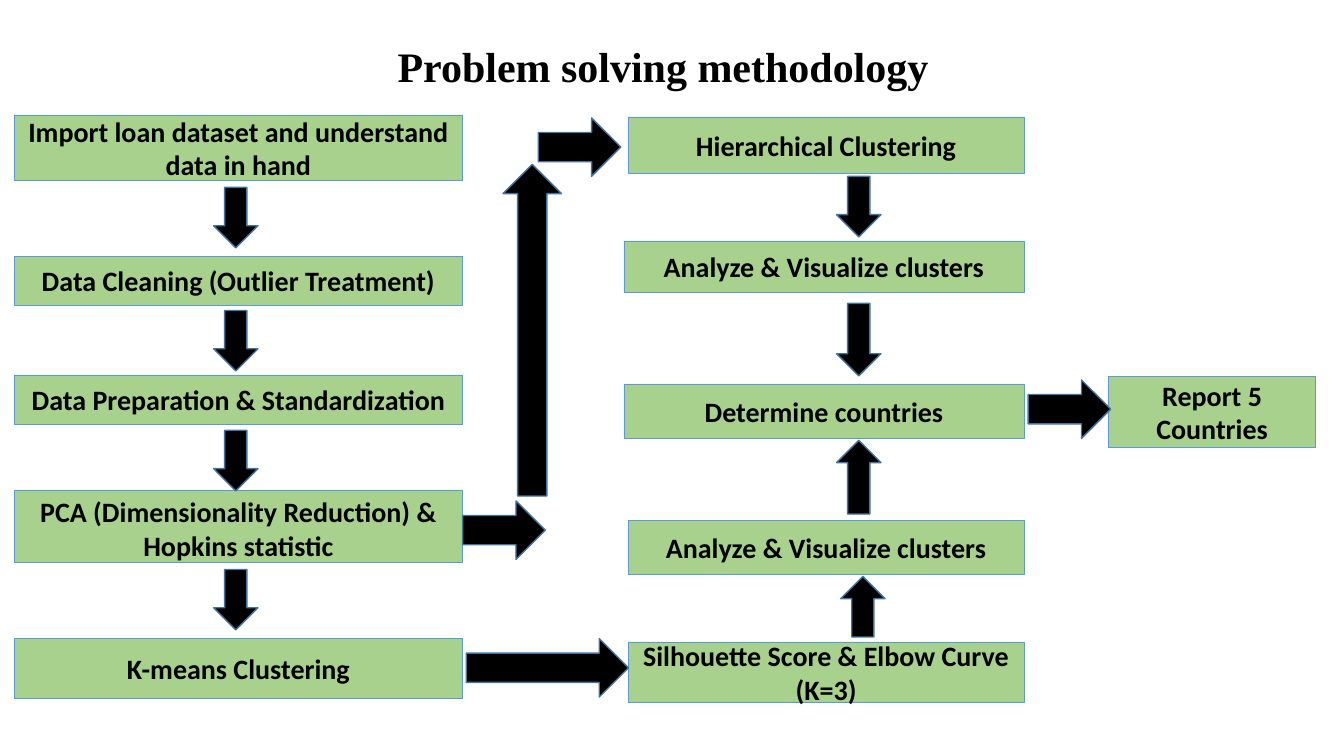
"""Build the problem solving methodology flowchart slide."""
from pptx import Presentation
from pptx import util as u
from pptx.dml import color
from pptx.enum import shapes, text

COLORS = {"box": "A9D18E", "box_line": "5B9BD5", "arrow": "000000",
          "arrow_line": "43739E", "text": "000000"}
MSO = shapes.MSO_SHAPE
ANCHOR = text.MSO_ANCHOR
ALIGN = text.PP_ALIGN


def rgb(name):
    return color.RGBColor.from_string(COLORS[name])


def write(sp, content, font="Calibri", size=20, align=ALIGN.CENTER,
          anchor=ANCHOR.MIDDLE, left=7.2, spacing=1.0):
    tf = sp.text_frame
    tf.word_wrap = True
    tf.vertical_anchor = anchor
    tf.margin_left = u.Pt(left)
    p = tf.paragraphs[0]
    p.alignment = align
    p.line_spacing = spacing
    r = p.add_run()
    r.text = content
    r.font.name = font
    r.font.size = u.Pt(size)
    r.font.bold = True
    r.font.color.rgb = rgb("text")


prs = Presentation()
prs.slide_width, prs.slide_height = u.Pt(960), u.Pt(540)
s = prs.slides.add_slide(prs.slide_layouts[6])

title = s.shapes.add_textbox(u.Pt(269.3), u.Pt(15.1), u.Pt(416.9), u.Pt(67.7))
write(title, "Problem solving methodology", font="Times New Roman", size=30,
      align=ALIGN.LEFT, left=14.7, spacing=0.9)

PCA = "PCA (Dimensionality Reduction) & Hopkins statistic"
steps = [
    ("Import loan dataset and understand data in hand", 10.1, 82.1, 320.4, 46.8),
    ("Data Cleaning (Outlier Treatment)", 10.1, 182.9, 320.4, 35.3),
    ("Data Preparation & Standardization", 10.1, 267.8, 320.4, 35.3),
    (PCA, 10.1, 349.9, 320.4, 51.8),
    ("K-means Clustering", 10.1, 455.8, 320.4, 43.2),
    ("Hierarchical Clustering", 448.6, 83.5, 283, 40.3),
    ("Analyze & Visualize clusters", 445.7, 172.1, 285.8, 36.7),
    ("Determine countries", 445.7, 274.3, 285.8, 38.9),
    ("Analyze & Visualize clusters", 448.6, 371.5, 283, 38.9),
    ("Silhouette Score & Elbow Curve (K=3)", 448.6, 458.6, 283, 43.2),
    ("Report 5 Countries", 792, 268.6, 147.6, 51.1),
]
arrows = [(MSO.DOWN_ARROW, 152.6, y, 31.7, 43.2)
          for y in (133.9, 221.8, 307.4, 406.8)]
arrows += [
    (MSO.DOWN_ARROW, 597.6, 126, 31.7, 43.2),
    (MSO.DOWN_ARROW, 597.6, 216.7, 31.7, 51.8),
    (MSO.UP_ARROW, 597.6, 314.6, 31.7, 52.6),
    (MSO.UP_ARROW, 600.5, 411.8, 31.7, 43.2),
    (MSO.UP_ARROW, 359.3, 117.4, 41.8, 236.9),
    (MSO.RIGHT_ARROW, 330.5, 357.8, 59, 41.8),
    (MSO.RIGHT_ARROW, 384.5, 84.2, 59, 41.8),
    (MSO.RIGHT_ARROW, 333, 456.1, 115.9, 41.8),
    (MSO.RIGHT_ARROW, 734.4, 271.4, 59, 41.8),
]

items = [(MSO.RECTANGLE, box, label, "box", 0.5) for label, *box in steps]
items += [(kind, box, None, "arrow", 1) for kind, *box in arrows]
for kind, box, label, style, weight in items:
    sp = s.shapes.add_shape(kind, *map(u.Pt, box))
    sp.shadow.inherit = False
    sp.fill.solid()
    sp.fill.fore_color.rgb = rgb(style)
    sp.line.color.rgb = rgb(style + "_line")
    sp.line.width = u.Pt(weight)
    if label:
        write(sp, label, anchor=ANCHOR.TOP if label == PCA else ANCHOR.MIDDLE)

prs.save("out.pptx")
